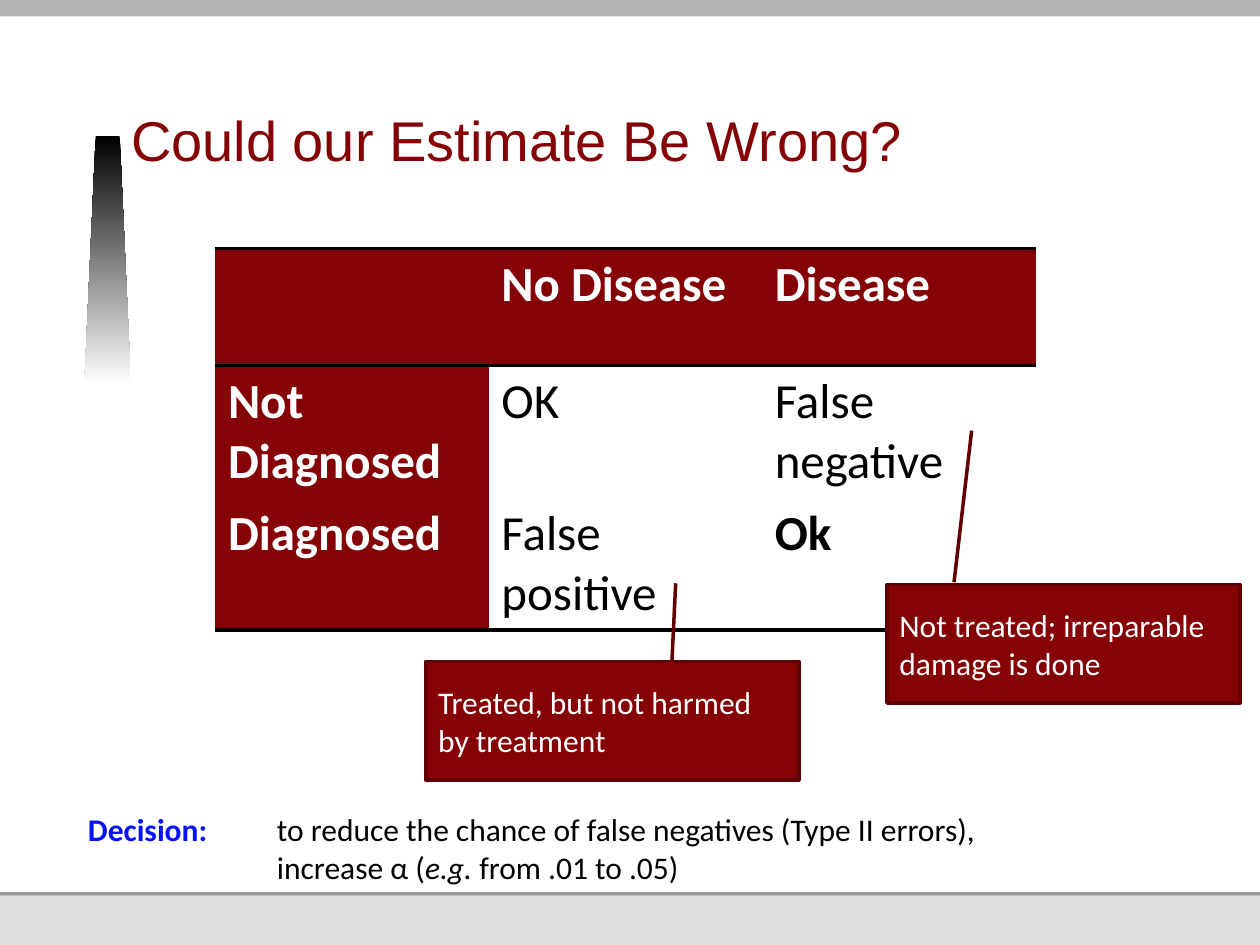
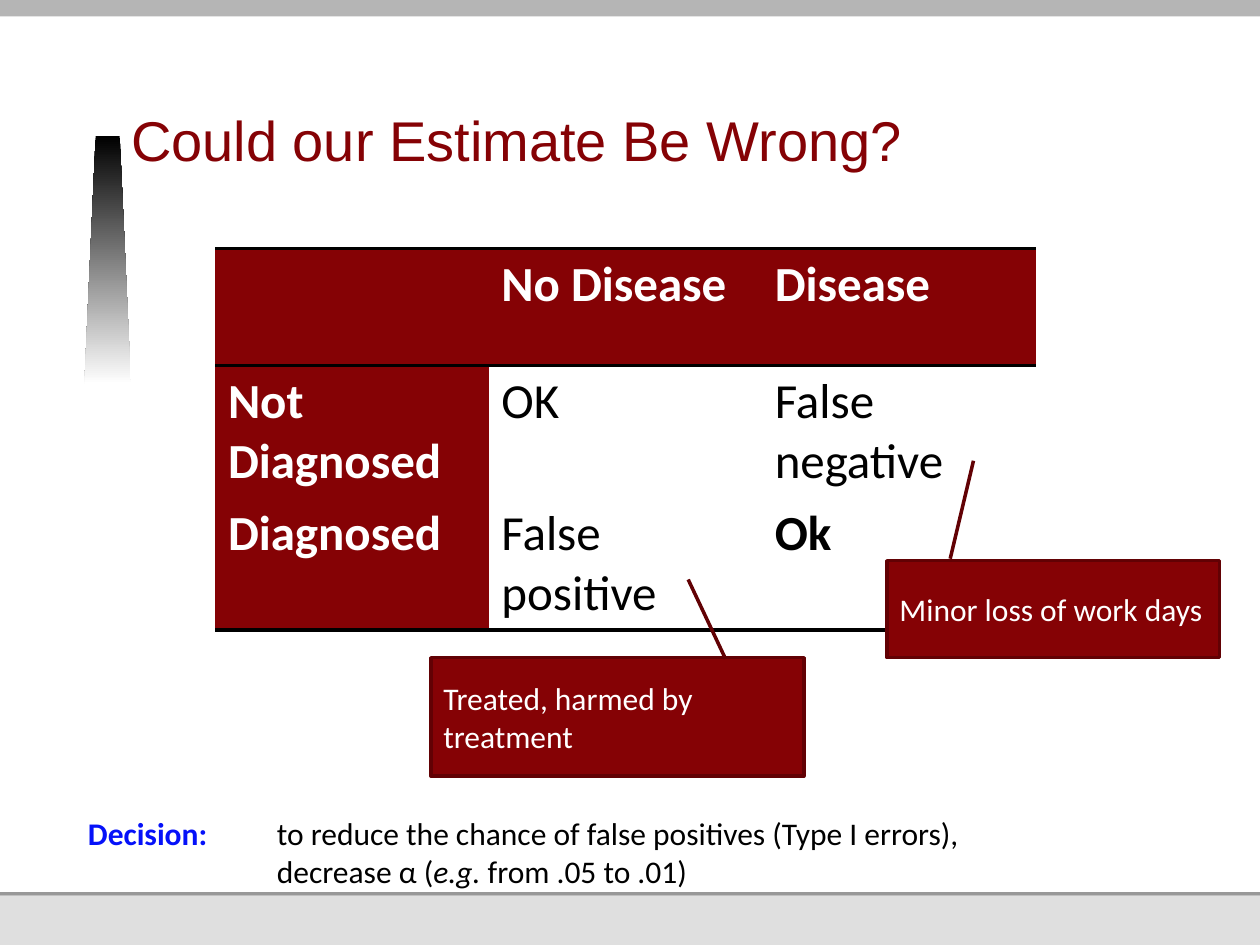
from dataclasses import dataclass

from lxml.etree import SubElement as Sub
from pptx import Presentation
from pptx.dml.color import RGBColor as Rgb
from pptx.enum.shapes import MSO_SHAPE as Shape
from pptx.enum.text import MSO_ANCHOR as Anchor, PP_ALIGN as Align
from pptx.oxml.ns import qn
from pptx.util import Inches, Pt


@dataclass(frozen=True)
class Theme:
    red: str = "850205"
    edge: str = "620104"
    blue: str = "0511F9"
    black: str = "000000"
    white: str = "FFFFFF"
    top: str = "B5B5B5"
    rule: str = "989898"
    foot: str = "DFDFDF"
    head: str = "Arial"
    body: str = "Calibri"
    title: int = 32
    cell: int = 28
    note: int = 18
    line: int = 2


THEME = Theme()

# Shared content
TITLE = "Could our Estimate Be Wrong?"
GRID = [
    ["", "No Disease", "Disease"],
    ["Not Diagnosed", "OK", "False negative"],
    ["Diagnosed", "False positive", "Ok"],
]
ROWS = [0.93, 1.05, 1.05]
COL = 2.17

# Callouts: position, adjustments of the pointer, text
PAGES = [
    {
        "notes": [
            ((3.38, 5.25, 2.96, 0.94), (0, 0.66, -0.66, 0.67),
             "Treated, but not harmed by treatment"),
            ((7.04, 4.64, 2.8, 0.94), (-0.02, 0.19, -1.3, 0.24),
             "Not treated; irreparable damage is done"),
        ],
        "top": 6.38,
        "plan": ("to reduce the chance of false negatives (Type II errors),",
                 "increase α ("),
        "range": "from .01 to .05)",
    },
    {
        "notes": [
            ((3.42, 5.22, 2.96, 0.94), (0.01, 0.79, -0.66, 0.69),
             "Treated, harmed by treatment"),
            ((7.04, 4.45, 2.64, 0.77), (-0.02, 0.19, -1.03, 0.26),
             "Minor loss of work days"),
        ],
        "top": 6.41,
        "plan": ("to reduce the chance of false positives (Type I errors),",
                 "decrease α ("),
        "range": "from .05 to .01)",
    },
]


def put(obj, vals):
    for key, val in vals.items():
        setattr(obj, key, val)


def place(box):
    return [Inches(num) for num in box]


class Deck:
    def __init__(self, theme):
        self.theme = theme
        self.prs = Presentation()
        put(self.prs, {"slide_width": Inches(10), "slide_height": Inches(7.5)})
        self.slide = None

    def page(self):
        self.slide = self.prs.slides.add_slide(self.prs.slide_layouts[6])
        # Bands at top and bottom
        self.band(0, 0.13, self.theme.top)
        self.band(7.08, 0.03, self.theme.rule)
        self.band(7.11, 0.39, self.theme.foot)
        self.wedge()

    def band(self, top, high, hue):
        bar = self.slide.shapes.add_shape(
            Shape.RECTANGLE, *place((0, top, 10, high)))
        self.paint(bar, hue)

    def paint(self, shape, hue, edge=None):
        shape.shadow.inherit = False
        shape.fill.solid()
        shape.fill.fore_color.rgb = Rgb.from_string(hue)
        if edge:
            shape.line.color.rgb = Rgb.from_string(edge)
            shape.line.width = Pt(self.theme.line)
        else:
            shape.line.fill.background()

    def wedge(self):
        pts = [place(pt) for pt in
               ((0.67, 3.05), (0.76, 1.08), (0.95, 1.08), (1.04, 3.05))]
        form = self.slide.shapes.build_freeform(*pts[0])
        form.add_line_segments(pts[1:], close=True)
        mark = form.convert_to_shape()
        self.paint(mark, self.theme.white)
        mark.fill.gradient()
        mark.fill.gradient_angle = 270
        hues = (self.theme.black, self.theme.white)
        for stop, hue in zip(mark.fill.gradient_stops, hues):
            stop.color.rgb = Rgb.from_string(hue)

    def words(self, para, text, size, hue, **extra):
        run = para.add_run()
        run.text = text
        put(run.font, {"name": self.theme.body, "size": Pt(size),
                       "bold": False, **extra})
        run.font.color.rgb = Rgb.from_string(hue)

    def title(self, text):
        frame = self.slide.shapes.add_textbox(
            *place((1.04, 0.34, 6.87, 1.08))).text_frame
        put(frame, {"word_wrap": True, "vertical_anchor": Anchor.BOTTOM,
                    "margin_left": 0, "margin_right": 0, "margin_top": 0,
                    "margin_bottom": Inches(0.05)})
        para = frame.paragraphs[0]
        para.line_spacing = Pt(34)
        self.words(para, text, self.theme.title, self.theme.red,
                   name=self.theme.head)

    def table(self, grid):
        wide = COL * len(grid[0])
        table = self.slide.shapes.add_table(
            len(grid), len(grid[0]),
            *place((1.71, 1.97, wide, sum(ROWS)))).table
        put(table, {"first_row": False, "horz_banding": False})
        for col in table.columns:
            col.width = Inches(COL)
        last = len(grid) - 1
        for i, (row, high) in enumerate(zip(grid, ROWS)):
            table.rows[i].height = Inches(high)
            for j, text in enumerate(row):
                cell = table.cell(i, j)
                head = i == 0 or j == 0
                cell.fill.solid()
                cell.fill.fore_color.rgb = Rgb.from_string(
                    self.theme.red if head else self.theme.white)
                self.edges(cell, {"T": i < 2, "B": i in (0, last)})
                if text:
                    hue = self.theme.white if head else self.theme.black
                    self.words(cell.text_frame.paragraphs[0], text,
                               self.theme.cell, hue,
                               bold=head or i == j == last)

    def edges(self, cell, shown):
        props = cell._tc.get_or_add_tcPr()
        for spot, side in enumerate("LRTB"):
            line = Sub(props, qn(f"a:ln{side}"), w=str(Pt(self.theme.line)))
            props.insert(spot, line)
            if shown.get(side):
                fill = Sub(line, qn("a:solidFill"))
                Sub(fill, qn("a:srgbClr"), val=self.theme.black)
            else:
                Sub(line, qn("a:noFill"))

    def note(self, box, bends, text):
        shape = self.slide.shapes.add_shape(
            Shape.LINE_CALLOUT_1, *place(box))
        for i, bend in enumerate(bends):
            shape.adjustments[i] = bend
        self.paint(shape, self.theme.red, self.theme.edge)
        frame = shape.text_frame
        put(frame, {"word_wrap": True, "vertical_anchor": Anchor.MIDDLE})
        para = frame.paragraphs[0]
        para.alignment = Align.LEFT
        self.words(para, text, self.theme.note, self.theme.white)

    def plan(self, top, lines, span):
        frame = self.slide.shapes.add_textbox(
            *place((0.6, top, 9.4, 0.71))).text_frame
        frame.word_wrap = True
        para = frame.paragraphs[0]
        # Hanging indent: the tab and the second line meet at 1.5 inches
        hang = Inches(1.5)
        props = para._p.get_or_add_pPr()
        props.set("marL", str(hang))
        props.set("indent", str(-hang))
        tabs = Sub(props, qn("a:tabLst"))
        Sub(tabs, qn("a:tab"), pos=str(hang), algn="l")
        size, black = self.theme.note, self.theme.black
        first, second = lines
        self.words(para, "Decision:", size, self.theme.blue, bold=True)
        self.words(para, "\t" + first, size, black)
        para.add_line_break()
        self.words(para, second, size, black)
        self.words(para, "e.g. ", size, black, italic=True)
        self.words(para, span, size, black)


def main():
    deck = Deck(THEME)
    for page in PAGES:
        deck.page()
        deck.title(TITLE)
        deck.table(GRID)
        for note in page["notes"]:
            deck.note(*note)
        deck.plan(page["top"], page["plan"], page["range"])
    deck.prs.save("out.pptx")


if __name__ == "__main__":
    main()
